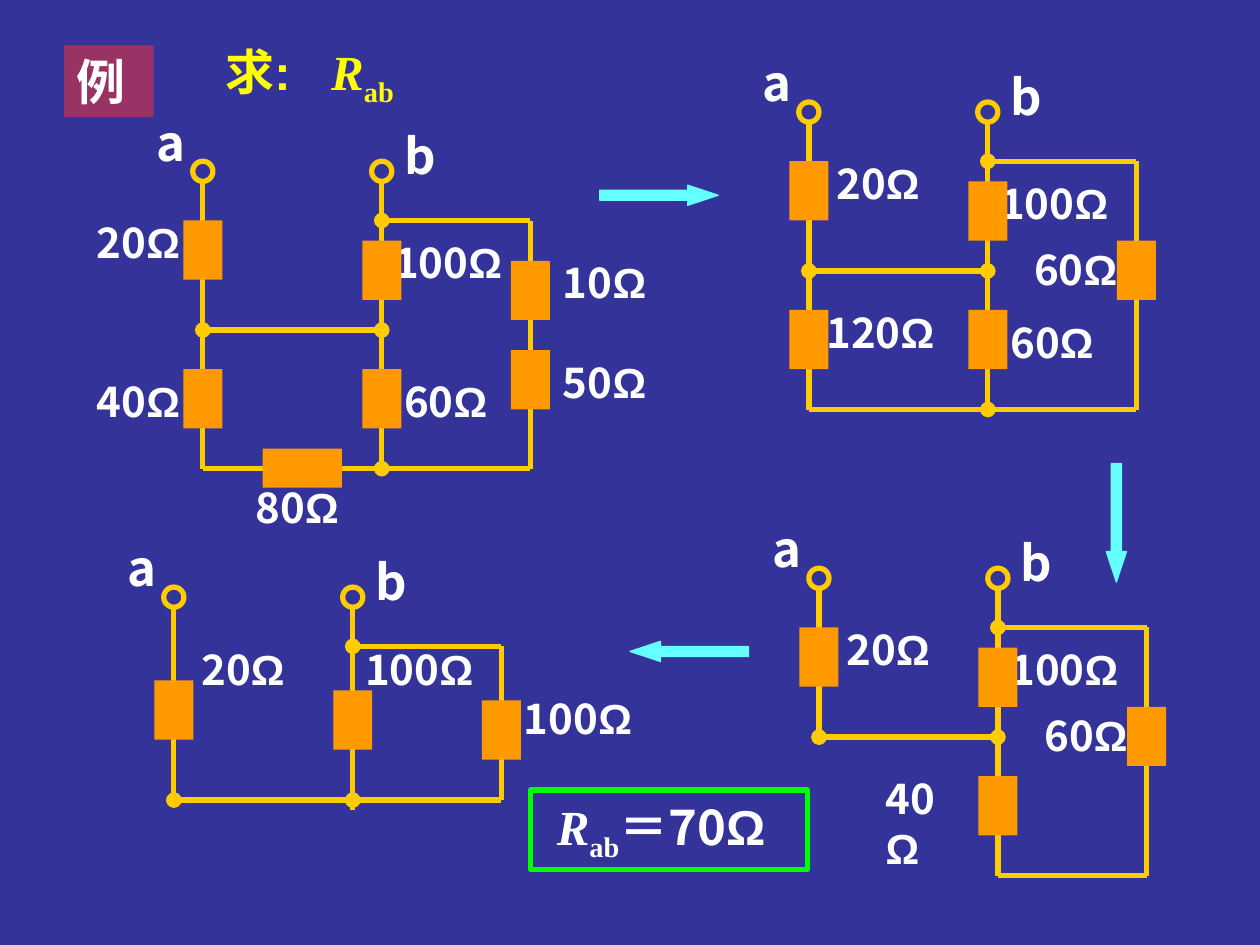
from lxml import etree
from pptx import Presentation
from pptx.dml.color import RGBColor
from pptx.enum.shapes import MSO_CONNECTOR, MSO_SHAPE
from pptx.enum.text import PP_ALIGN
from pptx.oxml.ns import qn
from pptx.util import Inches, Pt

RECTANGLE, OVAL, ARROW = MSO_SHAPE.RECTANGLE, MSO_SHAPE.OVAL, MSO_SHAPE.RIGHT_ARROW
STRAIGHT = MSO_CONNECTOR.STRAIGHT
LEFT = PP_ALIGN.LEFT

COLORS = {
    "background": "333399", "badge": "993366", "text": "FFFFFF", "question": "FFFF00",
    "wire": "FFCC00", "resistor": "FF9900", "arrow": "66FFFF", "result": "00FF00",
}
SANS, SERIF, CJK = "Arial", "Times New Roman", "Noto Sans CJK SC"

# All circuit coordinates are relative to the centre of terminal a.
A, B, C = 0, 1.42, 2.6  # columns of the three branches
TERMINAL, LEAD_TOP = 0.16, 0.08
TOP, MIDDLE, BOTTOM, SHORT_BOTTOM = 0.39, 1.26, 2.36, 1.61
RESISTOR_WIDTH, RESISTOR_HEIGHT = 0.31, 0.47


def loop(bottom, b_end):
    """Wires of branch b and of the right-hand branch."""
    return [
        (B, TOP, C, TOP, "head"), (C, TOP, C, bottom, ""),
        (B, bottom, C, bottom, ""), (B, LEAD_TOP, B, b_end, ""),
    ]


BRIDGE = (A, MIDDLE, B, MIDDLE, "head tail")
FULL_WIRES = [
    (A, LEAD_TOP, A, BOTTOM, ""), BRIDGE, (A, BOTTOM, B, BOTTOM, "tail"),
] + loop(BOTTOM, BOTTOM)

# Resistors: column, top, ohms, label left, label top
UPPER_A = (A, 0.39, "20", 0.12, 0.31)
UPPER_B = (B, 0.55, "100", 1.42, 0.47)
LOWER_B = (B, 1.57, "60", 1.5, 1.57)
SINGLE_C = (C, 1.02, "60", 1.69, 0.99)
CIRCUITS = [
    {"origin": (1.61, 1.36), "wires": FULL_WIRES, "resistors": [
        (A, 0.39, "20", -0.94, 0.31), (A, 1.57, "40", -0.94, 1.57), UPPER_B, LOWER_B,
        (C, 0.71, "10", 2.76, 0.63), (C, 1.42, "50", 2.76, 1.42),
        (0.79, 2.2, "80", 0.32, 2.41, "flat")]},
    {"origin": (6.42, 0.89), "wires": FULL_WIRES, "resistors": [
        UPPER_A, (A, 1.57, "120", 0.04, 1.49), UPPER_B, LOWER_B, SINGLE_C]},
    {"origin": (6.5, 4.59),
     "wires": [(A, LEAD_TOP, A, MIDDLE, ""), BRIDGE] + loop(BOTTOM, BOTTOM),
     "resistors": [UPPER_A, UPPER_B, (B, 1.57, "40", 0.43, 1.49, "narrow"), SINGLE_C]},
    {"origin": (1.38, 4.74),
     "wires": [(A, LEAD_TOP, A, SHORT_BOTTOM, ""),
               (A, SHORT_BOTTOM, B, SHORT_BOTTOM, "head tail")] + loop(SHORT_BOTTOM, 1.69),
     "resistors": [(A, 0.66, "20", 0.12, 0.32), (B, 0.74, "100", 1.42, 0.32),
                   (C, 0.82, "100", 2.68, 0.71)]},
]
# Arrows: left, top, rotation
ARROWS = [(4.76, 1.47, 0), (8.39, 4.07, 90), (5, 5.09, 180)]

# Runs: text, font, style
SYMBOL = [("R", SERIF, "italic"), ("ab", SERIF, "subscript")]
QUESTION = [("求:\t", SANS, "")] + SYMBOL
RESULT = SYMBOL + [("＝", SERIF, ""), ("70", CJK, ""), ("Ω", SANS, "")]


def color(name):
    return RGBColor.from_string(COLORS[name])


def write(shape, runs, size, color_name="text", left_inset=0.1, tab=None):
    frame = shape.text_frame
    frame.word_wrap = True
    frame.margin_left = Inches(left_inset)
    paragraph = frame.paragraphs[0]
    paragraph.alignment = LEFT
    if tab:
        tabs = etree.SubElement(paragraph._p.get_or_add_pPr(), qn("a:tabLst"))
        etree.SubElement(tabs, qn("a:tab"), pos=str(Inches(tab)), algn="l")
    paragraph.font.size = Pt(size)
    paragraph.font.bold = True
    paragraph.font.color.rgb = color(color_name)
    for text, font, style in runs:
        run = paragraph.add_run()
        run.text = text
        run.font.name = font
        if style == "italic":
            run.font.italic = True
        elif style == "subscript":
            run.font._element.set("baseline", "-25000")


def add_text(shapes, left, top, width, height, runs, size, **options):
    box = shapes.add_textbox(*map(Inches, (left, top, width, height)))
    write(box, runs, size, **options)


def add_shape(shapes, kind, left, top, width, height, fill=None, line=None, weight=3):
    shape = shapes.add_shape(kind, *map(Inches, (left, top, width, height)))
    shape.shadow.inherit = False
    if fill:
        shape.fill.solid()
        shape.fill.fore_color.rgb = color(fill)
    else:
        shape.fill.background()
    if line:
        shape.line.color.rgb = color(line)
        shape.line.width = Pt(weight)
    else:
        shape.line.fill.background()
    return shape


def add_wire(shapes, x1, y1, x2, y2, dots):
    wire = shapes.add_connector(STRAIGHT, *map(Inches, (x1, y1, x2, y2)))
    wire.line.color.rgb = color("wire")
    wire.line.width = Pt(3)
    for end in dots.split():
        etree.SubElement(wire.line._get_or_add_ln(), qn(f"a:{end}End"), type="oval")
    etree.SubElement(wire._element.spPr, qn("a:effectLst"))


def add_circuit(slide, origin, wires, resistors):
    shapes = slide.shapes.add_group_shape().shapes
    x, y = origin
    for column, name, dx, dy in ((A, "a", -0.47, -0.52), (B, "b", 1.5, -0.41)):
        add_shape(shapes, OVAL, x + column - TERMINAL / 2, y - TERMINAL / 2,
                  TERMINAL, TERMINAL, line="wire")
        add_text(shapes, x + dx, y + dy, 0.39, 0.57, [(name, CJK, "")], 28)
    for _, _, ohms, dx, dy, *kind in resistors:
        width, height = (0.83, 0.9) if "narrow" in kind else (1.1, 0.5)
        add_text(shapes, x + dx, y + dy, width, height,
                 [(ohms, CJK, ""), ("Ω", SANS, "")], 24)
    for x1, y1, x2, y2, dots in wires:
        add_wire(shapes, x + x1, y + y1, x + x2, y + y2, dots)
    for center, top, _, _, _, *kind in resistors:
        width, height = (0.63, 0.31) if "flat" in kind else (RESISTOR_WIDTH, RESISTOR_HEIGHT)
        add_shape(shapes, RECTANGLE, x + center - width / 2, y + top, width, height,
                  fill="resistor")


def main():
    presentation = Presentation()
    presentation.slide_width, presentation.slide_height = Inches(10), Inches(7.5)
    slide = presentation.slides.add_slide(presentation.slide_layouts[6])
    slide.background.fill.solid()
    slide.background.fill.fore_color.rgb = color("background")

    badge = add_shape(slide.shapes, RECTANGLE, 0.51, 0.36, 0.71, 0.57, fill="badge")
    write(badge, [("例", SERIF, "")], 28)
    add_text(slide.shapes, 1.69, 0.28, 1.65, 0.63, QUESTION, 28,
             color_name="question", tab=0.84)
    for circuit in CIRCUITS:
        add_circuit(slide, **circuit)
    for left, top, rotation in ARROWS:
        arrow = add_shape(slide.shapes, ARROW, left, top, 0.94, 0.16,
                          fill="arrow", line="arrow", weight=0.75)
        arrow.adjustments[0], arrow.adjustments[1] = 0.5, 1.51
        arrow.rotation = rotation
    result = add_shape(slide.shapes, RECTANGLE, 4.21, 6.27, 2.2, 0.63, line="result")
    write(result, RESULT, 28, left_inset=0.21)

    presentation.save("out.pptx")


if __name__ == "__main__":
    main()
